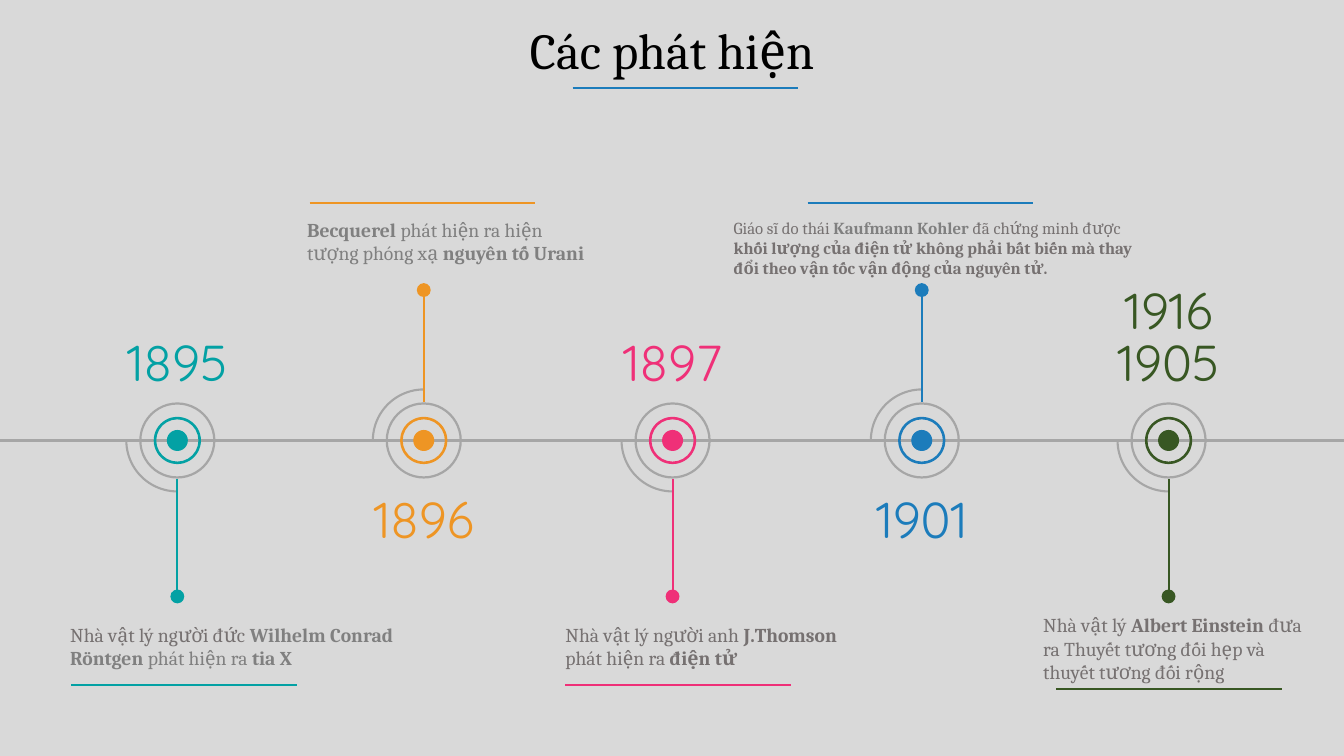
from dataclasses import dataclass
from itertools import pairwise

from lxml.etree import SubElement
from pptx import Presentation
from pptx.dml.color import RGBColor
from pptx.enum.shapes import MSO_CONNECTOR as Connector, MSO_SHAPE as Shape
from pptx.enum.text import MSO_ANCHOR as Anchor, MSO_AUTO_SIZE as AutoSize, PP_ALIGN as Align
from pptx.oxml.ns import qn
from pptx.util import Cm, Pt


@dataclass(frozen=True)
class Theme:
    background: str = "D9D9D9"
    title: str = "000000"
    axis: str = "A6A6A6"
    teal: str = "03A1A4"
    orange: str = "EE9524"
    pink: str = "EF3078"
    blue: str = "1C7CBB"
    green: str = "385723"
    dark: str = "767171"
    light: str = "808080"
    text_font: str = "Cambria"
    year_font: str = "Quicksand"
    display_size: int = 36
    caption_size: int = 14
    small_size: int = 12
    line_width: float = 1.5


theme = Theme()

# Content: caption runs are (text, bold, colour); boxes and rules are in cm
TITLE = "Các phát hiện"
EVENTS = [
    dict(years=["1895"], center=4.47, side="down", color=theme.teal,
         box=(1.52, 15.57, 8.89, 1.45), rule=(1.8, 17.25), size=theme.caption_size,
         runs=[("Nhà vật lý người đức ", False, theme.dark),
               ("Wilhelm Conrad Röntgen ", True, theme.light),
               ("phát hiện ra ", False, theme.light),
               ("tia X", True, theme.light)]),
    dict(years=["1896"], center=10.68, side="up", color=theme.orange,
         box=(7.49, 5.36, 7.8, 1.45), rule=(7.8, 5.11), size=theme.caption_size,
         runs=[("Becquerel ", True, theme.light),
               ("phát hiện ra hiện tượng phóng xạ ", False, theme.light),
               ("nguyên tố Urani", True, theme.light)]),
    dict(years=["1897"], center=16.95, side="down", color=theme.pink,
         box=(14, 15.57, 7.54, 1.45), rule=(14.25, 17.25), size=theme.caption_size,
         runs=[("Nhà vật lý người anh ", False, theme.dark),
               ("J.Thomson ", True, theme.dark),
               ("phát hiện ra ", False, theme.dark),
               ("điện tử", True, theme.dark)]),
    dict(years=["1901"], center=23.23, side="up", color=theme.blue,
         box=(18.24, 5.36, 10.69, 1.8), rule=(20.35, 5.11), size=theme.small_size,
         runs=[("Giáo sĩ do thái ", False, theme.dark),
               ("Kaufmann Kohler ", True, theme.light),
               ("đã chứng minh được ", False, theme.dark),
               ("khối lượng của điện tử không phải bất biến mà thay đổi "
                "theo vận tốc vận động của nguyên tử.", True, theme.dark)]),
    dict(years=["1905", "1916"], center=29.45, side="down", color=theme.green,
         box=(26.04, 15.32, 7.39, 2.06), rule=(26.62, 17.37), size=theme.caption_size,
         runs=[("Nhà vật lý ", False, theme.dark),
               ("Albert Einstein ", True, theme.dark),
               ("đưa ra Thuyết tương đối hẹp và thuyết tương đối rộng", False, theme.dark)]),
]

# Geometry in cm; stem and pin are offsets from the axis
SLIDE_WIDTH, SLIDE_HEIGHT = 33.87, 19.05
AXIS_Y = 11.1
AXIS_JOINT = 0.15
RULE_WIDTH = 5.69
YEAR_WIDTH, YEAR_HEIGHT, YEAR_STEP = 4.22, 1.8, 1.32
ARC_SIZE, PIN_SIZE = 2.57, 0.35
SIDES = {
    "down": dict(stem=(3.84, 0.97), pin=3.93, year_top=8.23, rotation=0),
    "up": dict(stem=(-0.97, -3.84), pin=-3.79, year_top=12.17, rotation=90),
}


def rgb(color):
    return RGBColor.from_string(color)


def add_line(x1, y1, x2, y2, color):
    line = slide.shapes.add_connector(Connector.STRAIGHT, Cm(x1), Cm(y1), Cm(x2), Cm(y2))
    line.line.color.rgb = rgb(color)
    line.line.width = Pt(theme.line_width)
    SubElement(line._element.spPr, qn("a:effectLst"))


def add_round(kind, x, y, size, color, adjustments=()):
    """Add a round shape centred on x, y; arcs are outlined, others filled."""
    shape = slide.shapes.add_shape(
        kind, Cm(x - size / 2), Cm(y - size / 2), Cm(size), Cm(size))
    shape.shadow.inherit = False
    for index, value in enumerate(adjustments):
        shape.adjustments[index] = value
    if kind == Shape.ARC:
        shape.fill.background()
        shape.line.color.rgb = rgb(color)
        shape.line.width = Pt(theme.line_width)
    else:
        shape.fill.solid()
        shape.fill.fore_color.rgb = rgb(color)
        shape.line.fill.background()
    return shape


def style_run(run, font, size, color, bold=False):
    run.font.name = font
    run.font.size = Pt(size)
    run.font.bold = bold
    run.font.color.rgb = rgb(color)


def add_text(box, runs, font, size, align=Align.LEFT):
    shape = slide.shapes.add_textbox(*map(Cm, box))
    shape.text_frame.word_wrap = True
    shape.text_frame.auto_size = AutoSize.SHAPE_TO_FIT_TEXT
    paragraph = shape.text_frame.paragraphs[0]
    paragraph.alignment = align
    for text, bold, color in runs:
        run = paragraph.add_run()
        run.text = text
        style_run(run, font, size, color, bold)


def add_event(event):
    x, color, side = event["center"], event["color"], SIDES[event["side"]]

    # Marker on the axis
    arc = add_round(Shape.ARC, x, AXIS_Y, ARC_SIZE, theme.axis, (54.2, 108.53))
    arc.rotation = side["rotation"]
    add_round(Shape.OVAL, x, AXIS_Y, 0.53, color)
    add_round(Shape.DONUT, x, AXIS_Y, 1.19, color, (0.053,))
    add_round(Shape.DONUT, x, AXIS_Y, 1.92, theme.axis, (0.029,))

    # Stem and pin
    start, end = side["stem"]
    add_line(x, AXIS_Y + start, x, AXIS_Y + end, color)
    add_round(Shape.OVAL, x, AXIS_Y + side["pin"], PIN_SIZE, color)

    # Years, stacked upwards
    for level, year in enumerate(event["years"]):
        top = side["year_top"] - level * YEAR_STEP
        add_text((x - YEAR_WIDTH / 2, top, YEAR_WIDTH, YEAR_HEIGHT),
                 [(year, False, color)], theme.year_font, theme.display_size, Align.CENTER)

    # Caption and its rule
    add_text(event["box"], event["runs"], theme.text_font, event["size"])
    left, top = event["rule"]
    add_line(left, top, left + RULE_WIDTH, top, color)


# Slide
presentation = Presentation()
presentation.slide_width, presentation.slide_height = Cm(SLIDE_WIDTH), Cm(SLIDE_HEIGHT)
slide = presentation.slides.add_slide(presentation.slide_layouts[5])
slide.background.fill.solid()
slide.background.fill.fore_color.rgb = rgb(theme.background)

# Title
title = slide.shapes.title
title.left, title.top, title.width, title.height = map(Cm, (6.83, 0.36, 20.22, 1.8))
title.text_frame.text = TITLE
title.text_frame.word_wrap = True
title.text_frame.auto_size = AutoSize.NONE
title.text_frame.vertical_anchor = Anchor.TOP
title_paragraph = title.text_frame.paragraphs[0]
title_paragraph.alignment = Align.CENTER
style_run(title_paragraph.runs[0], theme.text_font, theme.display_size, theme.title)
add_line(14.43, 2.21, 14.43 + RULE_WIDTH, 2.21, theme.blue)

# Axis
joints = [event["center"] + AXIS_JOINT for event in EVENTS]
for x1, x2 in pairwise([0, *joints, SLIDE_WIDTH]):
    add_line(x1, AXIS_Y, x2, AXIS_Y, theme.axis)

# Events
for event in EVENTS:
    add_event(event)

presentation.save("out.pptx")
